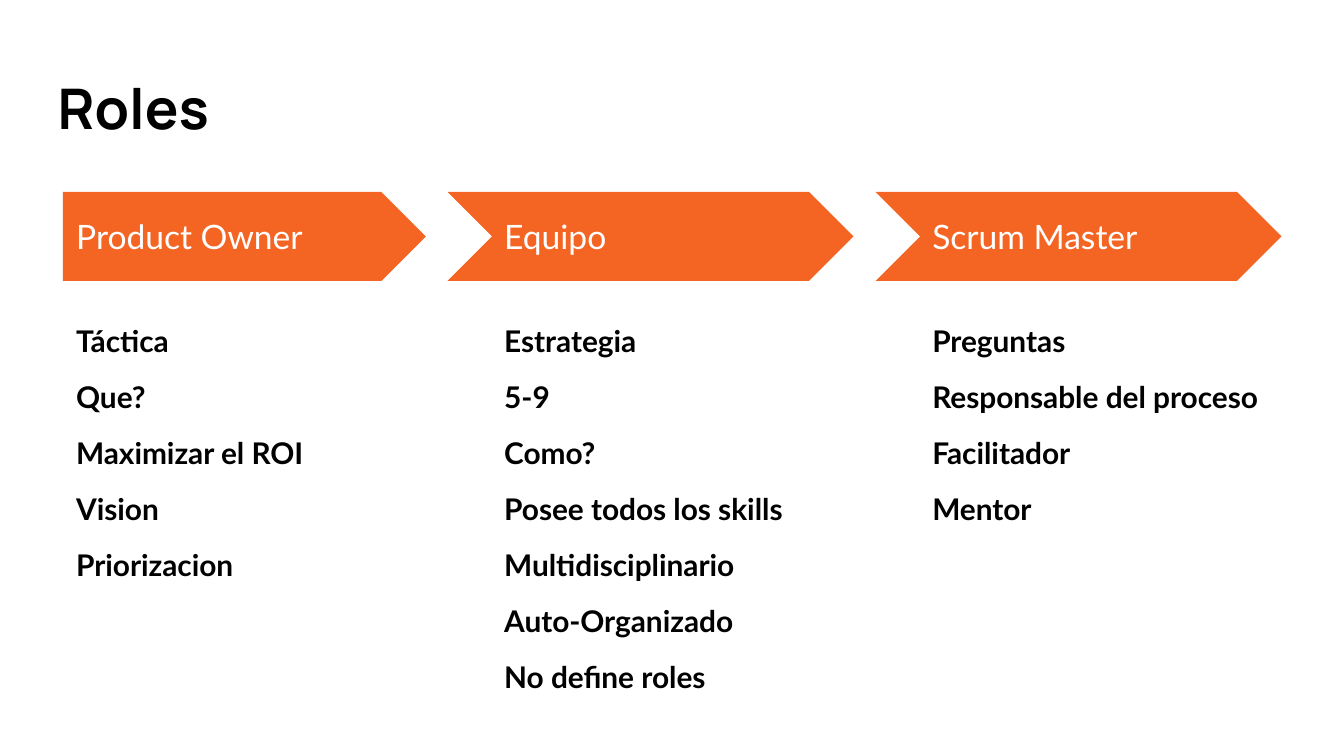
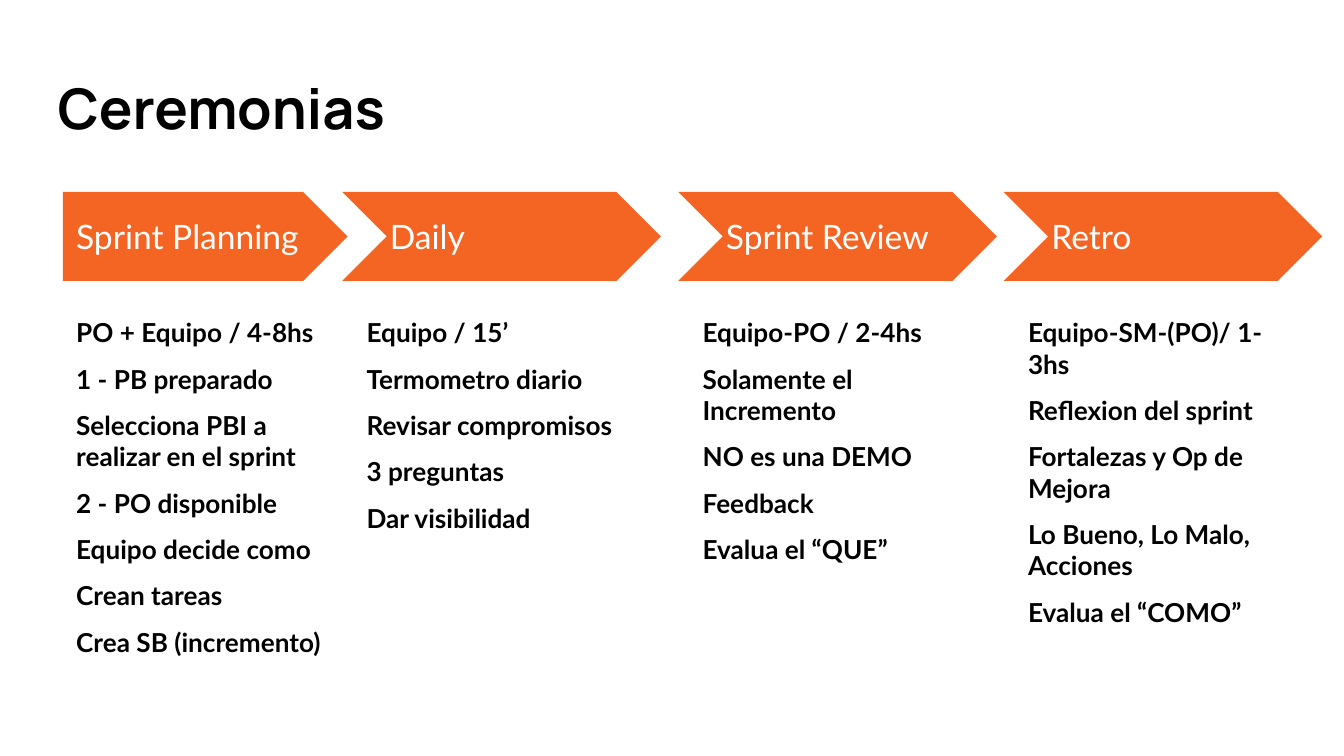
from dataclasses import dataclass

from pptx import Presentation
from pptx.dml.color import RGBColor as Rgb
from pptx.enum.shapes import MSO_SHAPE as Shape
from pptx.enum.text import MSO_ANCHOR as Anchor
from pptx.util import Cm, Pt


@dataclass(frozen=True)
class Theme:
    orange: Rgb = Rgb(0xF4, 0x65, 0x24)
    black: Rgb = Rgb(0, 0, 0)
    white: Rgb = Rgb(255, 255, 255)
    title_font: str = "Manrope"
    body_font: str = "Lato"
    title_size: int = 30
    header_size: int = 18


@dataclass(frozen=True)
class Box:
    left: float
    top: float
    width: float
    height: float

    def lengths(self):
        return Cm(self.left), Cm(self.top), Cm(self.width), Cm(self.height)


@dataclass(frozen=True)
class Layout:
    """Measures of one slide's columns, in centimetres."""
    lefts: tuple
    width: float
    label_width: float
    chevron_back: float   # chevron starts this far left of its column
    chevron_extra: float  # and is this much wider
    label_shift: float    # chevron label relative to its column
    item_size: int
    item_spacing: float


THEME = Theme()
TITLE_BOX = Box(0.84, 1.14, 23.67, 1.78)
COLUMN_TOP, COLUMN_HEIGHT = 3.63, 9.48
ARROW_HEIGHT, LABEL_HEIGHT = 1.68, 0.86
ITEMS_DROP = 2.11
INSET = Cm(0.25)

ROLES_LAYOUT = Layout(
    lefts=tuple(1.19 + 8.09 * i for i in range(3)), width=6.86,
    label_width=6.27, chevron_back=0.82, chevron_extra=0.81,
    label_shift=0, item_size=16, item_spacing=1.15)
CEREMONIES_LAYOUT = Layout(
    lefts=(1.19, 6.68, 13.03, 19.18), width=5.38,
    label_width=4.93, chevron_back=0.21, chevron_extra=0.64,
    label_shift=0.44, item_size=14, item_spacing=1.0)

ROLES = {
    "Product Owner": ["Táctica", "Que?", "Maximizar el ROI", "Vision",
                      "Priorizacion"],
    "Equipo": ["Estrategia", "5-9", "Como?", "Posee todos los skills",
               "Multidisciplinario", "Auto-Organizado", "No define roles"],
    "Scrum Master": ["Preguntas", "Responsable del proceso", "Facilitador",
                     "Mentor"],
}
CEREMONIES = {
    "Sprint Planning": ["PO + Equipo / 4-8hs", "1 - PB preparado",
                        "Selecciona PBI a realizar en el sprint",
                        "2 - PO disponible", "Equipo decide como",
                        "Crean tareas", "Crea SB (incremento)"],
    "Daily": ["Equipo / 15’", "Termometro diario", "Revisar compromisos",
              "3 preguntas", "Dar visibilidad"],
    "Sprint Review": ["Equipo-PO / 2-4hs", "Solamente el Incremento",
                      "NO es una DEMO", "Feedback", "Evalua el “QUE”"],
    "Retro": ["Equipo-SM-(PO)/ 1-3hs", "Reflexion del sprint",
              "Fortalezas y Op de Mejora", "Lo Bueno, Lo Malo, Acciones",
              "Evalua el “COMO”"],
}


def add_text(slide, box, lines, font, size, color, bold=True,
             anchor=Anchor.TOP, spacing=1.0):
    frame = slide.shapes.add_textbox(*box.lengths()).text_frame
    frame.word_wrap = True
    frame.vertical_anchor = anchor
    frame.margin_left = frame.margin_right = INSET
    frame.margin_top = frame.margin_bottom = INSET
    for i, line in enumerate(lines):
        paragraph = frame.add_paragraph() if i else frame.paragraphs[0]
        paragraph.text = line
        paragraph.line_spacing = spacing
        if i:
            paragraph.space_before = Pt(8)
        paragraph.font.name = font
        paragraph.font.size = Pt(size)
        paragraph.font.bold = bold
        paragraph.font.color.rgb = color


def add_title(slide, box, title):
    add_text(slide, box, [title], THEME.title_font, THEME.title_size,
             THEME.black, anchor=Anchor.MIDDLE)


def add_header(slide, box, layout, name, is_first):
    # The first step has a flat left edge, the others are chevrons
    back, extra, shift = (0, 0, 0) if is_first else (
        layout.chevron_back, layout.chevron_extra, layout.label_shift)
    arrow_box = Box(box.left - back, box.top, box.width + extra, box.height)
    arrow = slide.shapes.add_shape(
        Shape.PENTAGON if is_first else Shape.CHEVRON, *arrow_box.lengths())
    arrow.adjustments[0] = 0.5
    arrow.shadow.inherit = False
    arrow.fill.solid()
    arrow.fill.fore_color.rgb = THEME.orange
    arrow.line.fill.background()

    # Step name, centred on the arrow's height
    label_box = Box(box.left + shift, box.top + (box.height - LABEL_HEIGHT) / 2,
                    layout.label_width, LABEL_HEIGHT)
    add_text(slide, label_box, [name], THEME.body_font, THEME.header_size,
             THEME.white, bold=False, anchor=Anchor.MIDDLE)


def add_column(slide, box, layout, name, items, is_first):
    header_box = Box(box.left, box.top, box.width, ARROW_HEIGHT)
    add_header(slide, header_box, layout, name, is_first)
    items_box = Box(box.left, box.top + ITEMS_DROP, box.width,
                    box.height - ITEMS_DROP)
    add_text(slide, items_box, items, THEME.body_font, layout.item_size,
             THEME.black, spacing=layout.item_spacing)


def add_process_slide(deck, title, layout, columns):
    slide = deck.slides.add_slide(deck.slide_layouts[6])
    slide.background.fill.solid()
    slide.background.fill.fore_color.rgb = THEME.white
    add_title(slide, TITLE_BOX, title)
    for left, (name, items) in zip(layout.lefts, columns.items()):
        column_box = Box(left, COLUMN_TOP, layout.width, COLUMN_HEIGHT)
        add_column(slide, column_box, layout, name, items,
                   is_first=left == layout.lefts[0])


def main():
    deck = Presentation()
    deck.slide_width, deck.slide_height = Cm(25.4), Cm(14.29)
    add_process_slide(deck, "Roles", ROLES_LAYOUT, ROLES)
    add_process_slide(deck, "Ceremonias", CEREMONIES_LAYOUT, CEREMONIES)
    deck.save("out.pptx")


if __name__ == "__main__":
    main()
